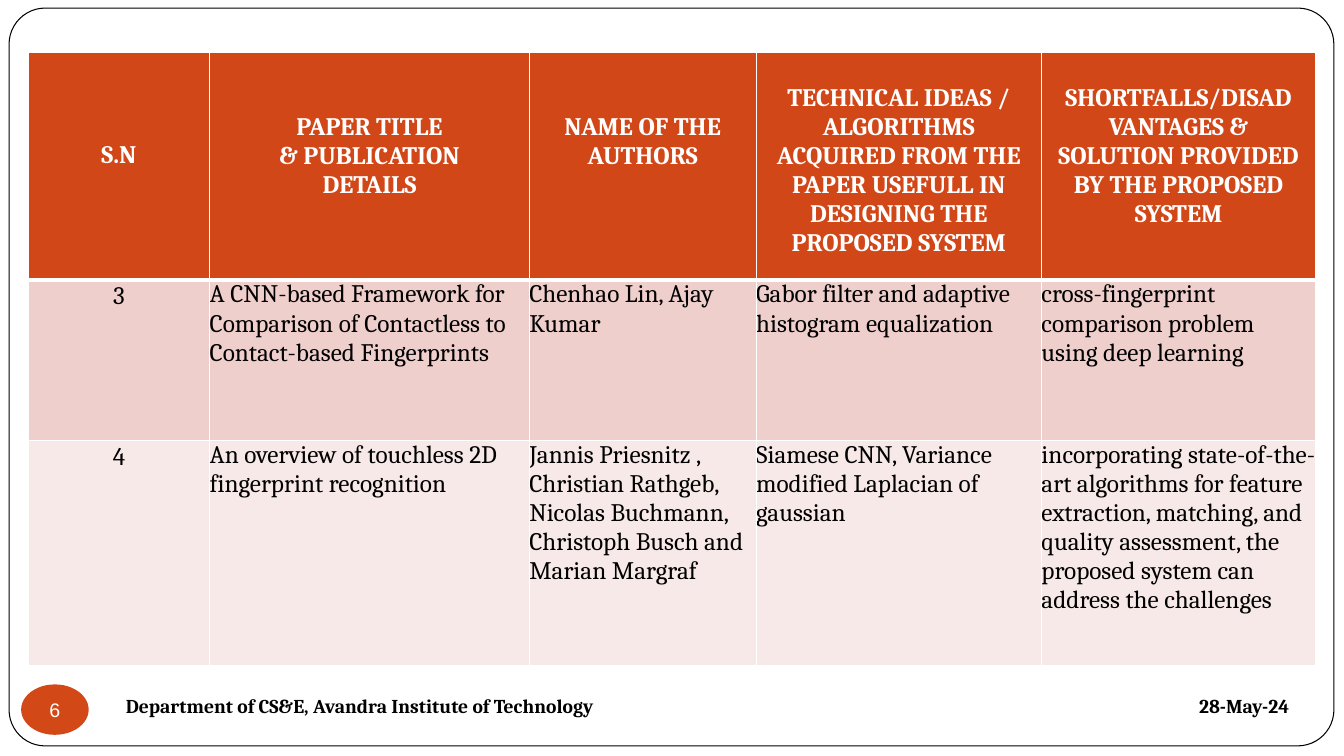
from dataclasses import dataclass

from lxml.etree import SubElement
from pptx import Presentation
from pptx.dml.color import RGBColor
from pptx.enum.shapes import MSO_SHAPE as SHAPE
from pptx.enum.text import MSO_ANCHOR as ANCHOR, PP_ALIGN as ALIGN
from pptx.oxml.ns import qn
from pptx.util import Inches, Pt


@dataclass(frozen=True)
class Theme:
    white: str = "FFFFFF"
    black: str = "000000"
    header: str = "D24717"
    badge: str = "D34817"
    bands: tuple = ("EECFCC", "F7E9E7")
    serif: str = "Cambria"
    sans: str = "Arial"
    table_size: int = 18
    footer_size: int = 14
    thin: int = 1
    thick: int = 3


T = Theme()
COLS = [1.8, 3.17, 2.25, 2.83, 2.72]
ROWS = [2.26, 1.59, 2.23]
HEADERS = [
    (["S.N"], 0.88, 0),
    (["PAPER TITLE", "& PUBLICATION DETAILS"], 0.6, 0.49),
    (["NAME OF THE", "AUTHORS"], 0.6, 0),
    (["TECHNICAL IDEAS / ALGORITHMS ACQUIRED FROM THE PAPER USEFULL IN "
      "DESIGNING THE PROPOSED SYSTEM"], 0.31, 0.12),
    (["SHORTFALLS/DISAD VANTAGES & SOLUTION PROVIDED BY THE PROPOSED SYSTEM"], 0.31, 0.12),
]
PAPERS = [
    ["3",
     "A CNN-based Framework for Comparison of Contactless to Contact-based Fingerprints",
     "Chenhao Lin, Ajay Kumar",
     "Gabor filter and adaptive histogram equalization",
     "cross-fingerprint comparison problem using deep learning"],
    ["4",
     "An overview of touchless 2D fingerprint recognition",
     "Jannis Priesnitz , Christian Rathgeb, Nicolas Buchmann, Christoph Busch "
     "and Marian Margraf",
     "Siamese CNN, Variance modified Laplacian of gaussian",
     "incorporating state-of-the-art algorithms for feature extraction, matching, "
     "and quality assessment, the proposed system can address the challenges"],
]


def rgb(color):
    return RGBColor.from_string(color)


def write(tf, *lines, size=T.table_size, font=T.serif, color=T.black, bold=False,
          align=ALIGN.CENTER):
    tf.word_wrap = True
    for i, line in enumerate(lines):
        p = tf.paragraphs[0] if i == 0 else tf.add_paragraph()
        p.alignment = align
        r = p.add_run()
        r.text = line
        r.font.size, r.font.name, r.font.bold = Pt(size), font, bold
        r.font.color.rgb = rgb(color)


def add_box(s, kind, box, fill, line=None):
    sp = s.shapes.add_shape(kind, *map(Inches, box))
    sp.shadow.inherit = False
    sp.fill.solid()
    sp.fill.fore_color.rgb = rgb(fill)
    if line:
        sp.line.color.rgb = rgb(line)
        sp.line.width = Pt(0.75)
    else:
        sp.line.fill.background()
    return sp


def add_frame(s, box):
    sp = add_box(s, SHAPE.ROUNDED_RECTANGLE, box, T.white, T.black)
    sp.adjustments[0] = 0.049


def set_borders(cell, **widths):
    tc_pr = cell._tc.get_or_add_tcPr()
    for i, side in enumerate("LRTB"):
        ln = SubElement(tc_pr, qn(f"a:ln{side}"), w=str(Pt(widths.get(side, T.thin))))
        fill = SubElement(ln, qn("a:solidFill"))
        SubElement(fill, qn("a:srgbClr"), val=T.white)
        tc_pr.insert(i, ln)


def fill_cell(cell, lines, fill, top=0, inset=0, borders=None, **fmt):
    cell.margin_left = cell.margin_right = Inches(inset)
    cell.margin_top, cell.margin_bottom = Inches(top), 0
    cell.vertical_anchor = ANCHOR.TOP
    cell.fill.solid()
    cell.fill.fore_color.rgb = rgb(fill)
    set_borders(cell, **(borders or {}))
    write(cell.text_frame, *lines, **fmt)


def add_survey_table(s, box):
    table = s.shapes.add_table(len(ROWS), len(COLS), *map(Inches, box)).table
    for col, width in zip(table.columns, COLS):
        col.width = Inches(width)
    for row, height in zip(table.rows, ROWS):
        row.height = Inches(height)
    for c, (lines, top, inset) in enumerate(HEADERS):
        fill_cell(table.cell(0, c), lines, T.header, top, inset, {"B": T.thick},
                  color=T.white, bold=True)
    for n, (paper, band) in enumerate(zip(PAPERS, T.bands), 1):
        borders = {"T": T.thick} if n == 1 else None
        for c, text in enumerate(paper):
            fill_cell(table.cell(n, c), [text], band, top=0 if c else 0.02, borders=borders,
                      align=ALIGN.LEFT if c else ALIGN.CENTER)


def add_footer(s, box):
    x, y, w, h = box
    badge = add_box(s, SHAPE.OVAL, (x, y + 0.04, 0.67, h), T.badge)
    tf = badge.text_frame
    tf.margin_left = tf.margin_right = tf.margin_top = tf.margin_bottom = 0
    tf.vertical_anchor = ANCHOR.MIDDLE
    write(tf, "6", size=T.footer_size, font=T.sans, color=T.white)
    labels = [("28-May-24", x + w - 1.18, 1.18),
              ("Department of CS&E, Avandra Institute of Technology", x + 0.87, 4.98)]
    for text, left, width in labels:
        tf = s.shapes.add_textbox(*map(Inches, (left, y, width, h))).text_frame
        tf.vertical_anchor = ANCHOR.MIDDLE
        write(tf, text, size=T.footer_size, bold=True)


def main():
    prs = Presentation()
    prs.slide_width, prs.slide_height = Inches(13.33), Inches(7.5)
    s = prs.slides.add_slide(prs.slide_layouts[6])
    add_frame(s, (0.09, 0.08, 13.14, 7.32))
    add_survey_table(s, (0.28, 0.52, sum(COLS), sum(ROWS)))
    add_footer(s, (0.21, 6.75, 12.72, 0.5))
    prs.save("out.pptx")


if __name__ == "__main__":
    main()
